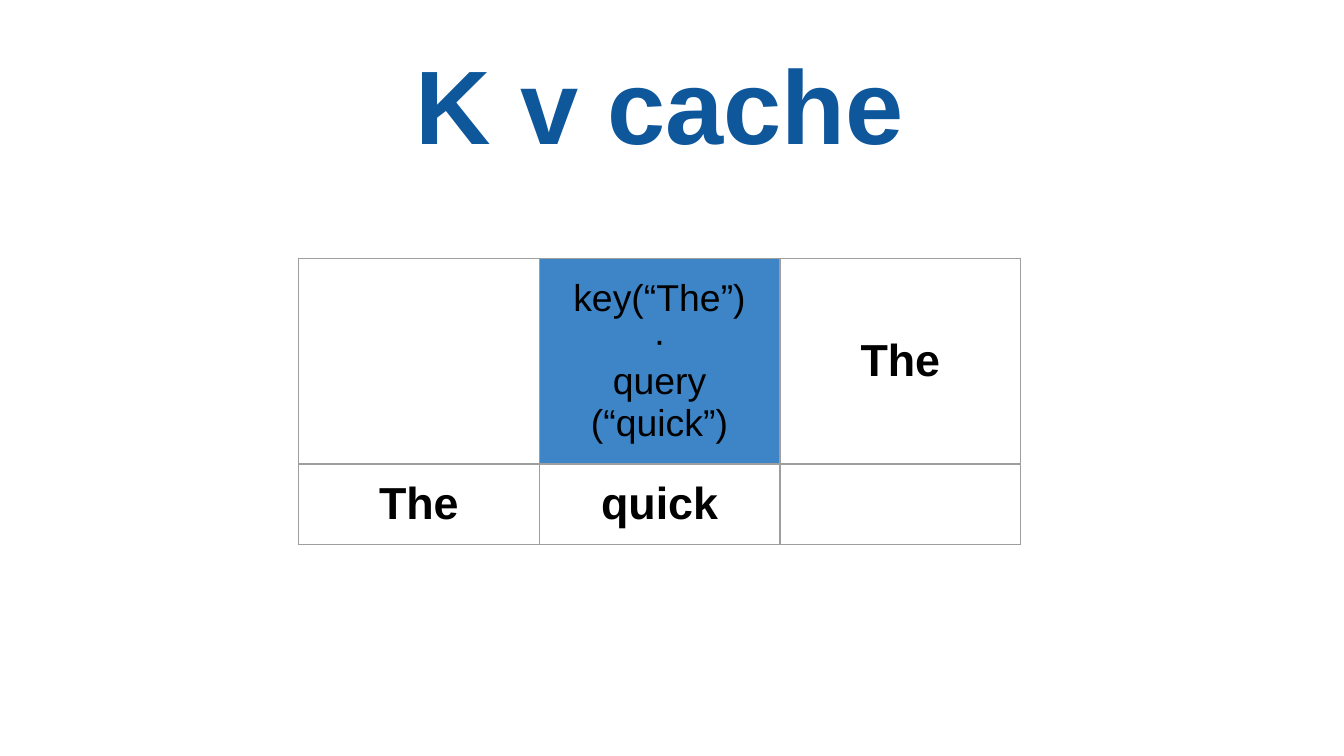
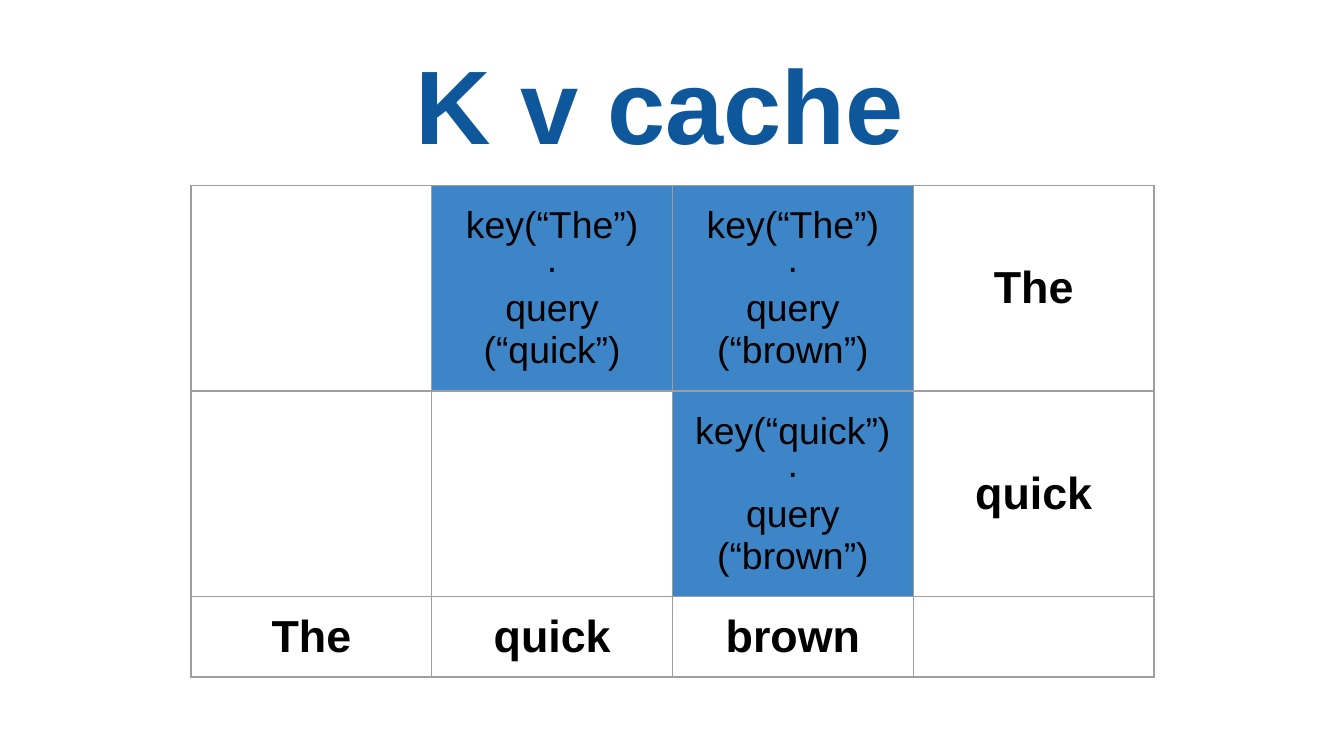
from lxml import etree
from pptx import Presentation
from pptx import util as u
from pptx.dml.color import RGBColor
from pptx.enum import text
from pptx.oxml import ns

NAVY = RGBColor(0x0F, 0x57, 0x9B)
BLUE = RGBColor(0x3D, 0x85, 0xC6)
BLACK = RGBColor(0, 0, 0)
GREY = RGBColor(0x9E, 0x9E, 0x9E)
FONT = "Arial"
PAD = u.Cm(0.25)


class Deck:
    def __init__(self):
        self.prs = Presentation()
        self.prs.slide_width = u.Cm(25.4)
        self.prs.slide_height = u.Cm(14.29)
        self.slide = None

    def style(self, frame, size, color=BLACK, bold=True):
        for para in frame.paragraphs:
            para.alignment = text.PP_ALIGN.CENTER
            for run in para.runs:
                font = run.font
                font.name, font.size, font.bold = FONT, u.Pt(size), bold
                font.color.rgb = color

    def page(self, title):
        self.slide = self.prs.slides.add_slide(self.prs.slide_layouts[6])
        box = self.slide.shapes.add_textbox(
            u.Cm(1.52), u.Cm(0.3), u.Cm(21.9), u.Cm(2.13))
        frame = box.text_frame
        frame.word_wrap = True
        frame.margin_left = frame.margin_right = frame.margin_bottom = PAD
        frame.margin_top = u.Cm(0.45)
        frame.text = title
        self.style(frame, 56, NAVY)

    def edge(self, cell):
        props = cell._tc.get_or_add_tcPr()
        for i, side in enumerate("LRTB"):
            line = etree.Element(ns.qn("a:ln" + side), w=str(u.Pt(0.75)))
            fill = etree.SubElement(line, ns.qn("a:solidFill"))
            etree.SubElement(fill, ns.qn("a:srgbClr"), val=str(GREY))
            props.insert(i, line)

    def cell(self, cell, words="", score=False):
        cell.margin_left = cell.margin_right = PAD
        cell.margin_top = cell.margin_bottom = PAD
        cell.vertical_anchor = text.MSO_ANCHOR.MIDDLE
        if score:
            cell.fill.solid()
            cell.fill.fore_color.rgb = BLUE
        else:
            cell.fill.background()
        if words:
            cell.text_frame.text = words
            self.style(cell.text_frame, 20 if score else 24, bold=not score)
        self.edge(cell)

    def cache(self, words, left, top):
        """Queries run along the bottom, keys down the right side."""
        n = len(words)
        wide, tall, low = u.Cm(4.55), u.Cm(3.65), u.Cm(1.45)
        table = self.slide.shapes.add_table(
            n, n + 1, u.Cm(left), u.Cm(top),
            wide * (n + 1), tall * (n - 1) + low).table
        table.first_row = table.horz_banding = False
        for col in table.columns:
            col.width = wide
        for r, row in enumerate(table.rows):
            last = r == n - 1
            row.height = low if last else tall
            for c, cell in enumerate(row.cells):
                if last:
                    self.cell(cell, words[c] if c < n else "")
                elif c == n:
                    self.cell(cell, words[r])
                elif c > r:
                    pair = f"key(“{words[r]}”)\n·\nquery (“{words[c]}”)"
                    self.cell(cell, pair, score=True)
                else:
                    self.cell(cell)


def main():
    deck = Deck()
    words = ["The", "quick", "brown"]
    # The cache grows by one word per slide
    for count, left, top in ((2, 5.64, 4.88), (3, 3.61, 3.5)):
        deck.page("K v cache")
        deck.cache(words[:count], left, top)
    deck.prs.save("out.pptx")


if __name__ == "__main__":
    main()
